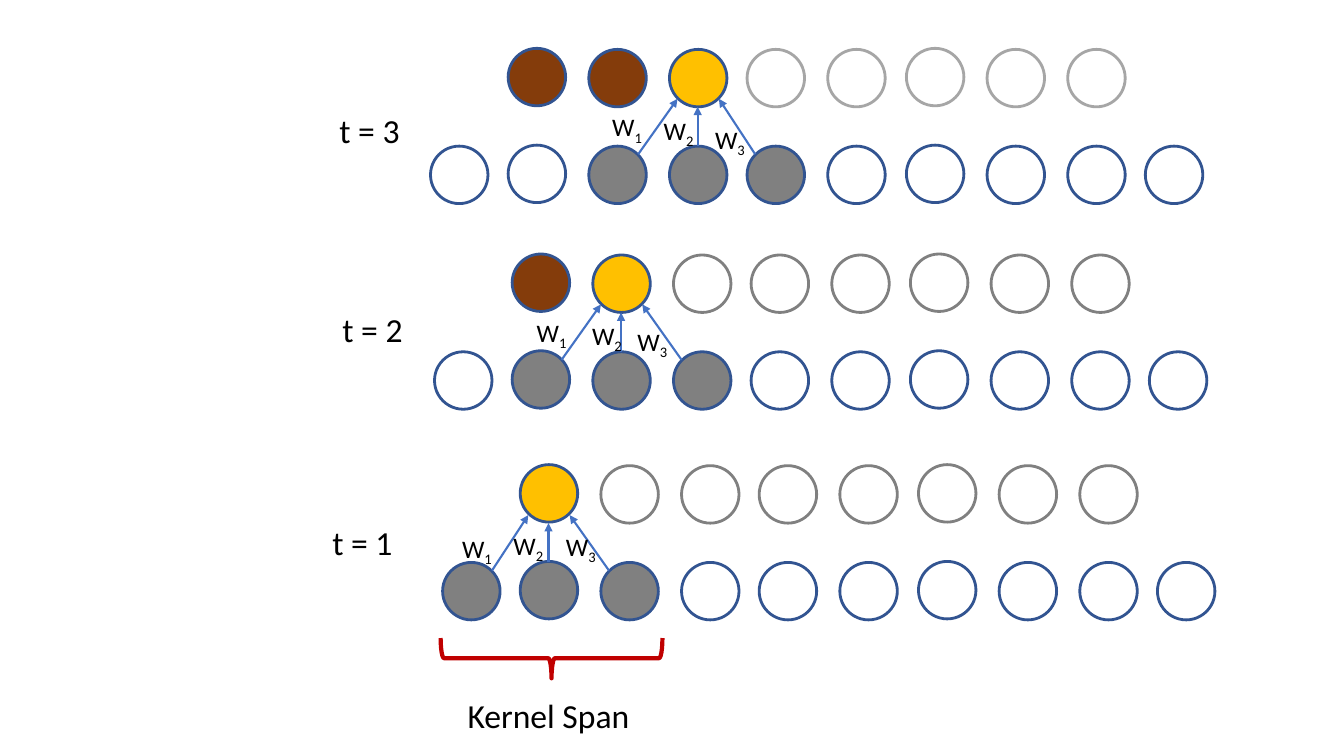
from dataclasses import dataclass

from lxml import etree
from pptx import Presentation
from pptx import util as u
from pptx.dml.color import RGBColor
from pptx.enum import shapes, text
from pptx.oxml.ns import qn

PX = 9144


@dataclass(frozen=True)
class Theme:
    font: str = "Calibri"
    ink: str = "000000"
    outline: str = "325491"
    done: str = "843C0B"
    current: str = "FFC000"
    window: str = "808080"
    arrow: str = "4472C4"
    brace: str = "C00000"
    label_size: int = 24
    weight_size: int = 18
    node_line: float = 2
    arrow_line: float = 1.5
    brace_line: float = 3


class Diagram:
    def __init__(self, slide, theme):
        self.slide = slide
        self.theme = theme

    def shape(self, kind, left, top, width, height, fill, line, weight):
        item = self.slide.shapes.add_shape(
            kind, left * PX, top * PX, width * PX, height * PX)
        item.shadow.inherit = False
        if fill:
            item.fill.solid()
            item.fill.fore_color.rgb = RGBColor.from_string(fill)
        else:
            item.fill.background()
        item.line.color.rgb = RGBColor.from_string(line)
        item.line.width = u.Pt(weight)
        return item

    def node(self, left, top, fill, line):
        self.shape(shapes.MSO_SHAPE.OVAL, left, top, NODE, NODE,
                   fill, line, self.theme.node_line)

    def brace(self, left, top, width, height):
        brace = self.shape(shapes.MSO_SHAPE.RIGHT_BRACE, left, top, width, height,
                           None, self.theme.brace, self.theme.brace_line)
        brace.rotation = 90

    def arrow(self, x1, y1, x2, y2):
        arrow = self.slide.shapes.add_connector(
            shapes.MSO_CONNECTOR.STRAIGHT, x1 * PX, y1 * PX, x2 * PX, y2 * PX)
        arrow.line.color.rgb = RGBColor.from_string(self.theme.arrow)
        arrow.line.width = u.Pt(self.theme.arrow_line)
        etree.SubElement(arrow.line._get_or_add_ln(), qn("a:tailEnd"), type="triangle")
        etree.SubElement(arrow._element.spPr, qn("a:effectLst"))

    def label(self, left, top, width, height, wording, size, subscript=""):
        box = self.slide.shapes.add_textbox(
            left * PX, top * PX, width * PX, height * PX)
        frame = box.text_frame
        frame.word_wrap = False
        frame.auto_size = text.MSO_AUTO_SIZE.SHAPE_TO_FIT_TEXT
        paragraph = frame.paragraphs[0]
        paragraph.alignment = text.PP_ALIGN.CENTER
        self.run(paragraph, wording, size)
        if subscript:
            lowered = self.run(paragraph, subscript, size)
            lowered._r.get_or_add_rPr().set("baseline", "-25000")

    def run(self, paragraph, wording, size):
        run = paragraph.add_run()
        run.text = wording
        run.font.name = self.theme.font
        run.font.size = u.Pt(size)
        run.font.color.rgb = RGBColor.from_string(self.theme.ink)
        return run


@dataclass(frozen=True)
class Step:
    t: int
    left: int
    top: int
    pending: str
    caption: tuple
    weights: tuple


NODE = 57
ROW_GAP = 96
NEAR, FAR = 8, 49
COLUMNS = (0, 77, 157, 237, 314, 394, 472, 552, 632, 709)
RAISED = (1, 6)
STEPS = (
    Step(3, 427, 49, "A6A6A6", (318, 104), ((596, 106), (647, 109), (698, 118))),
    Step(2, 431, 253, "808080", (321, 302), ((521, 310), (576, 313), (621, 319))),
    Step(1, 439, 462, "808080", (311, 513), ((447, 524), (498, 521), (550, 522))),
)


def draw_step(diagram, step):
    theme = diagram.theme
    xs = [step.left + offset for offset in COLUMNS]
    inputs_top = step.top + ROW_GAP
    for column, x in enumerate(xs):
        lift = 1 if column in RAISED else 0
        in_window = abs(column - step.t) <= 1
        diagram.node(x, inputs_top - lift,
                     theme.window if in_window else None, theme.outline)
        if 0 < column < len(xs) - 1:
            fill = (theme.done if column < step.t
                    else theme.current if column == step.t else None)
            diagram.node(x, step.top - lift, fill,
                         theme.outline if fill else step.pending)

    before, focus, after = xs[step.t - 1:step.t + 2]
    middle = focus + NODE // 2
    diagram.arrow(before + FAR, inputs_top + NEAR, focus + NEAR, step.top + FAR)
    diagram.arrow(middle, inputs_top, middle, step.top + NODE)
    diagram.arrow(after + NEAR, inputs_top + NEAR, focus + FAR, step.top + FAR)

    for number, (left, top) in enumerate(step.weights, 1):
        diagram.label(left, top, 52, 40, "W", theme.weight_size, str(number))
    diagram.label(*step.caption, 97, 50, f"t = {step.t}", theme.label_size)


def main():
    deck = Presentation()
    deck.slide_width = 1333 * PX
    deck.slide_height = 750 * PX
    theme = Theme()
    diagram = Diagram(deck.slides.add_slide(deck.slide_layouts[6]), theme)
    for step in STEPS:
        draw_step(diagram, step)
    diagram.brace(527, 543, 40, 220)
    diagram.label(429, 684, 230, 50, "Kernel Span", theme.label_size)
    deck.save("out.pptx")


if __name__ == "__main__":
    main()
